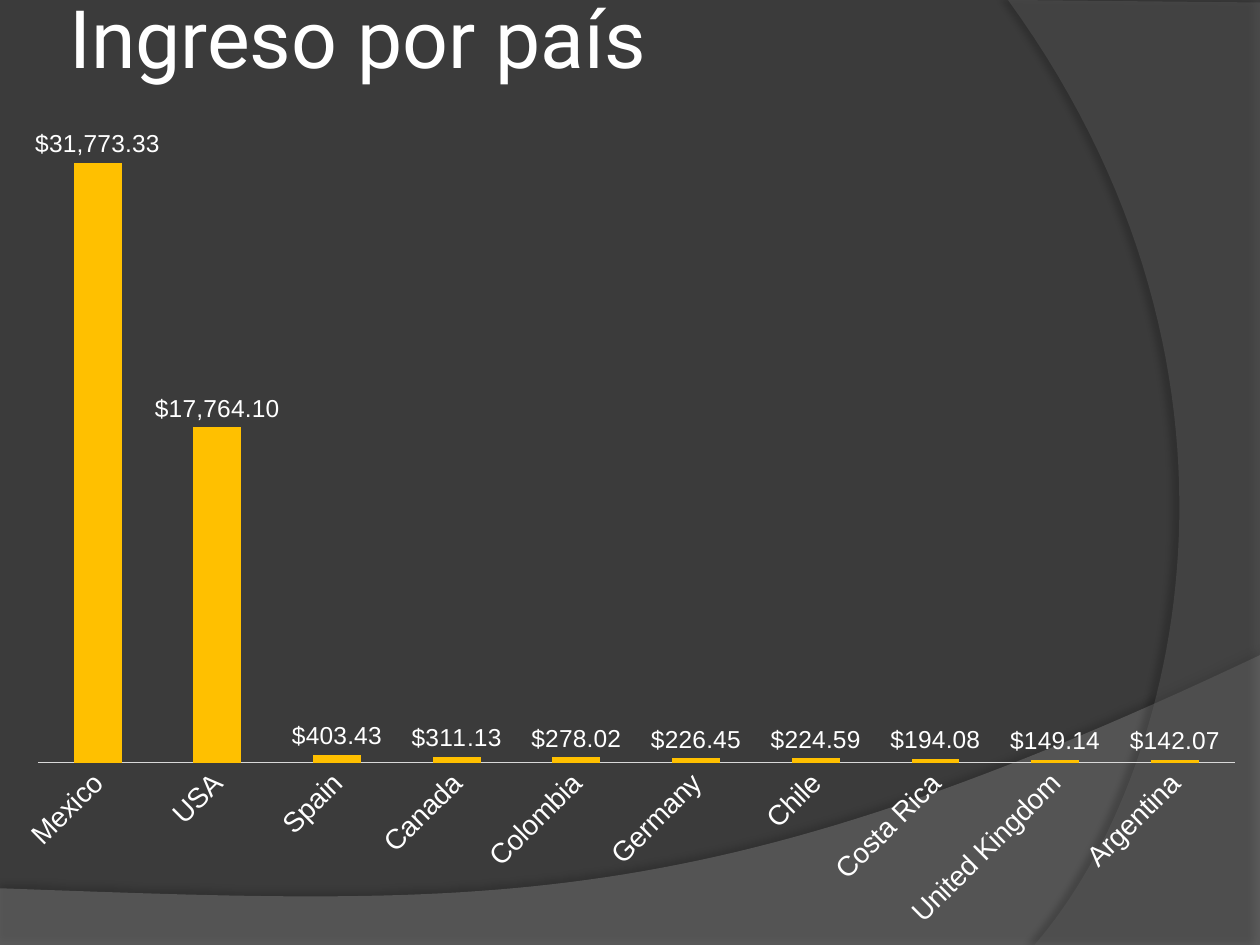
import pptx
import pptx.chart.data
import pptx.dml.color
import pptx.enum.chart
import pptx.enum.text
import pptx.oxml
import pptx.oxml.ns
import pptx.util

COLORS = {"background": "3B3B3B", "wave": "7F7F7F", "arc": "5E5E5E",
          "shadow": "000000", "text": "FFFFFF", "bar": "FFC000", "axis": "D9D9D9"}
FONTS = {"title": "Roboto", "chart": "Arial"}
MONEY = '"$"#,##0.00'
INCOME = {"Mexico": 31773.33, "USA": 17764.10, "Spain": 403.43, "Canada": 311.13,
          "Colombia": 278.02, "Germany": 226.45, "Chile": 224.59,
          "Costa Rica": 194.08, "United Kingdom": 149.14, "Argentina": 142.07}


def rgb(name):
    return pptx.dml.color.RGBColor.from_string(COLORS[name])


def xml(tag, attributes="", inner=""):
    """One element in the a: or c: namespace."""
    spaces = pptx.oxml.ns.nsdecls("a", "c")
    return pptx.oxml.parse_xml(f"<{tag} {spaces} {attributes}>{inner}</{tag}>")


def bezier(start, control_1, control_2, end, steps=60):
    points = []
    for step in range(steps + 1):
        t = step / steps
        weights = ((1 - t) ** 3, 3 * t * (1 - t) ** 2, 3 * t * t * (1 - t), t ** 3)
        points.append(tuple(
            sum(w * p[axis] for w, p in zip(weights, (start, control_1, control_2, end)))
            for axis in (0, 1)))
    return points


class Deck:
    """Slide and style; lengths are percentages of the slide's size."""

    def __init__(self, width, height):
        self.presentation = pptx.Presentation()
        self.presentation.slide_width = pptx.util.Inches(width)
        self.presentation.slide_height = pptx.util.Inches(height)
        self.slide = self.presentation.slides.add_slide(self.presentation.slide_layouts[6])
        fill = self.slide.background.fill
        fill.solid()
        fill.fore_color.rgb = rgb("background")

    def x(self, share):
        return round(self.presentation.slide_width * share / 100)

    def y(self, share):
        return round(self.presentation.slide_height * share / 100)

    def box(self, left, top, width, height):
        return self.x(left), self.y(top), self.x(width), self.y(height)

    def set_font(self, font, family, size):
        font.name = FONTS[family]
        font.size = pptx.util.Pt(size)
        font.color.rgb = rgb("text")

    def swoosh(self, outline, color, opacity, shadow_opacity, distance, direction):
        points = [(self.x(px), self.y(py)) for px, py in outline]
        builder = self.slide.shapes.build_freeform(*points[0])
        builder.add_line_segments(points[1:], close=True)
        shape = builder.convert_to_shape()
        shape.fill.solid()
        shape.fill.fore_color.rgb = rgb(color)
        shape.line.fill.background()
        properties = shape.element.spPr
        tint = properties.find(".//" + pptx.oxml.ns.qn("a:srgbClr"))
        tint.append(xml("a:alpha", f'val="{opacity * 1000}"'))
        properties.append(xml("a:effectLst", "", (
            f'<a:outerShdw blurRad="{pptx.util.Pt(4)}" dist="{pptx.util.Pt(distance)}" '
            f'dir="{direction * 60000}" algn="ctr" rotWithShape="0">'
            f'<a:srgbClr val="{COLORS["shadow"]}">'
            f'<a:alpha val="{shadow_opacity * 1000}"/></a:srgbClr></a:outerShdw>')))

    def title(self, text, area, size):
        frame = self.slide.shapes.add_textbox(*self.box(*area)).text_frame
        frame.word_wrap = True
        frame.vertical_anchor = pptx.enum.text.MSO_ANCHOR.MIDDLE
        for side in ("left", "right", "top", "bottom"):
            setattr(frame, f"margin_{side}", pptx.util.Inches(0.05))
        frame.text = text
        self.set_font(frame.paragraphs[0].font, "title", size)

    def columns(self, values, area, maximum, plot):
        data = pptx.chart.data.CategoryChartData(number_format=MONEY)
        data.categories = list(values)
        data.add_series("Series 1", list(values.values()))
        chart = self.slide.shapes.add_chart(
            pptx.enum.chart.XL_CHART_TYPE.COLUMN_CLUSTERED, *self.box(*area), data).chart
        chart.has_legend = chart.has_title = False
        self.set_font(chart.font, "chart", 10)

        # Bars and their labels
        bars = chart.plots[0]
        bars.vary_by_categories = False
        bars.gap_width, bars.overlap = 150, -25
        series = bars.series[0]
        series.format.fill.solid()
        series.format.fill.fore_color.rgb = rgb("bar")
        labels = series.data_labels
        labels.show_value = True
        labels.number_format, labels.number_format_is_linked = MONEY, False
        labels.position = pptx.enum.chart.XL_LABEL_POSITION.OUTSIDE_END
        self.set_font(labels.font, "chart", 14)

        # Axes
        amounts, countries = chart.value_axis, chart.category_axis
        amounts.minimum_scale, amounts.maximum_scale = 0, maximum
        amounts.has_major_gridlines = False
        amounts.visible = False
        no_tick = pptx.enum.chart.XL_TICK_MARK.NONE
        countries.major_tick_mark = countries.minor_tick_mark = no_tick
        countries.format.line.color.rgb = rgb("axis")
        countries.format.line.width = pptx.util.Pt(0.75)
        self.set_font(countries.tick_labels.font, "chart", 16)
        slant = countries._element.find(".//" + pptx.oxml.ns.qn("a:bodyPr"))
        slant.set("rot", str(-45 * 60000))
        slant.set("vert", "horz")

        # Fixed plot area, in percent of the chart
        plot_area = chart._chartSpace.chart.plotArea
        for old in plot_area.findall(pptx.oxml.ns.qn("c:layout")):
            plot_area.remove(old)
        sizes = "".join(f'<c:{key} val="{share / 100}"/>' for key, share in zip("xywh", plot))
        plot_area.insert(0, xml("c:layout", "", (
            '<c:manualLayout><c:layoutTarget val="inner"/><c:xMode val="edge"/>'
            f'<c:yMode val="edge"/>{sizes}</c:manualLayout>')))


def main():
    deck = Deck(10, 7.5)

    # Background curves
    wave = [(0, 100), (100, 100)] + bezier((100, 69.33), (55.9, 97.2), (39.1, 95.87), (0, 94))
    arc = [(100, 0.27), (100, 100)] + bezier((82.1, 100), (93.5, 82.53), (101.8, 40), (80, 0))
    deck.swoosh(wave, "wave", 45, 35, 3.5, 270)
    deck.swoosh(arc, "arc", 40, 45, 4, 180)

    # Title and income chart
    deck.title("Ingreso por país", (5, -4.5, 90, 16.67), 46)
    deck.columns(INCOME, (0, 9.07, 100, 90.93), 35000, (3, 1.9, 95, 76.9))

    deck.presentation.save("out.pptx")


if __name__ == "__main__":
    main()
